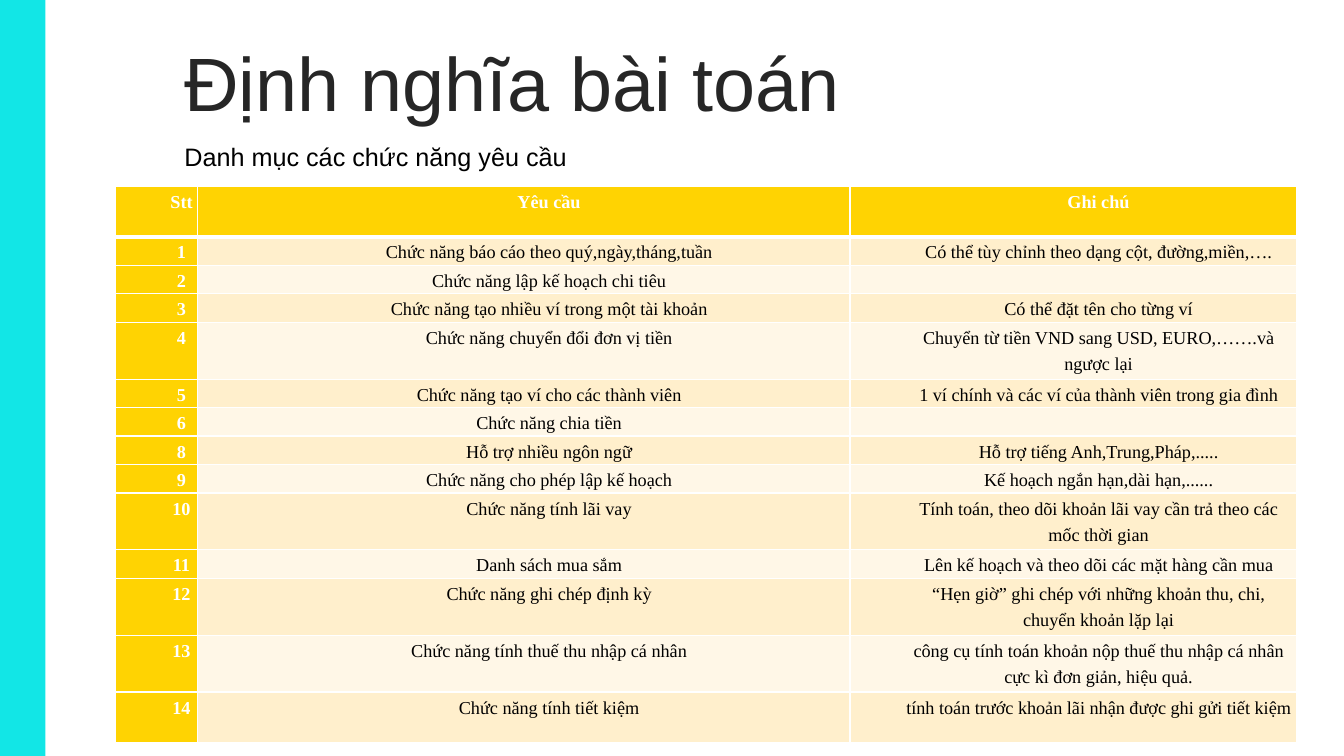
from lxml.etree import SubElement
from pptx import Presentation
from pptx.dml.color import RGBColor
from pptx.enum.shapes import MSO_SHAPE as SHAPE
from pptx.enum.text import MSO_ANCHOR as ANCHOR, PP_ALIGN as ALIGN
from pptx.oxml.ns import qn
from pptx.util import Inches, Pt

TITLE = "Định nghĩa bài toán"
SUBTITLE = "Danh mục các chức năng yêu cầu"
HEADER = ("Stt", "Yêu cầu", "Ghi chú")
# Number, requirement, note, row height
REQUIREMENTS = [
    ("1", "Chức năng báo cáo theo quý,ngày,tháng,tuần",
     "Có thể tùy chỉnh theo dạng cột, đường,miền,….", 0.26),
    ("2", "Chức năng lập kế hoạch chi tiêu", "", 0.26),
    ("3", "Chức năng tạo nhiều ví trong một tài khoản", "Có thể đặt tên cho từng ví", 0.26),
    ("4", "Chức năng chuyển đổi đơn vị tiền",
     "Chuyển từ tiền VND sang USD, EURO,…….và ngược lại", 0.55),
    ("5", "Chức năng tạo ví cho các thành viên",
     "1 ví chính và các ví của thành viên trong gia đình", 0.26),
    ("6", "Chức năng chia tiền", "", 0.26),
    ("8", "Hỗ trợ nhiều ngôn ngữ", "Hỗ trợ tiếng Anh,Trung,Pháp,.....", 0.26),
    ("9", "Chức năng cho phép lập kế hoạch", "Kế hoạch ngắn hạn,dài hạn,......", 0.26),
    ("10", "Chức năng tính lãi vay",
     "Tính toán, theo dõi khoản lãi vay cần trả theo các mốc thời gian", 0.55),
    ("11", "Danh sách mua sắm", "Lên kế hoạch và theo dõi các mặt hàng cần mua", 0.26),
    ("12", "Chức năng ghi chép định kỳ",
     "“Hẹn giờ” ghi chép với những khoản thu, chi, chuyển khoản lặp lại", 0.55),
    ("13", "Chức năng tính thuế thu nhập cá nhân",
     "công cụ tính toán khoản nộp thuế thu nhập cá nhân cực kì đơn giản, hiệu quả.", 0.55),
    ("14", "Chức năng tính tiết kiệm",
     "tính toán trước khoản lãi nhận được ghi gửi tiết kiệm", 0.5),
]
ROWS = [(*HEADER, 0.5)] + REQUIREMENTS
COL_WIDTHS = (0.82, 6.47, 4.43)
COLORS = {"bar": "12E6E6", "title": "262626", "text": "000000", "white": "FFFFFF",
          "gold": "FFD302", "odd": "FFEFCC", "even": "FFF7E7"}


def rgb(name):
    return RGBColor.from_string(COLORS[name])


def add_run(p, text, size, font, color, bold=False):
    r = p.add_run()
    r.text = text
    r.font.size, r.font.name, r.font.bold = Pt(size), font, bold
    r.font.color.rgb = rgb(color)


def add_text(slide, box, text, size, color, wrap):
    tf = slide.shapes.add_textbox(*map(Inches, box)).text_frame
    tf.word_wrap = wrap
    add_run(tf.paragraphs[0], text, size, "Arial", color)
    return tf


def set_borders(cell, widths):
    tc_pr = cell._tc.get_or_add_tcPr()
    for side, width in widths.items():
        ln = SubElement(tc_pr, qn(f"a:ln{side}"), w=str(Pt(width)))
        fill = SubElement(ln, qn("a:solidFill"))
        SubElement(fill, qn("a:srgbClr"), val=COLORS["white"])


def fill_cell(cell, text, row, col):
    key = row == 0 or col == 0
    set_borders(cell, {"L": 1, "R": 1, "T": 3 if row == 1 else 1, "B": 3 if row == 0 else 1})
    cell.fill.solid()
    cell.fill.fore_color.rgb = rgb("gold" if key else "odd" if row % 2 else "even")
    cell.margin_left = cell.margin_right = Inches(0.04)
    cell.margin_top = cell.margin_bottom = 0
    p = cell.text_frame.paragraphs[0]
    p.alignment, p.line_spacing = ALIGN.CENTER, 1.3
    p_pr = p._p.get_or_add_pPr()
    p_pr.set("marL", str(Inches(0.5)))
    p_pr.set("indent", "0")
    if text:
        add_run(p, text, 13, "Times New Roman", "white" if key else "text", key)
    else:
        # Keeps an empty cell from stretching its row
        SubElement(p._p, qn("a:endParaRPr"), sz="1300")


prs = Presentation()
prs.slide_width, prs.slide_height = Inches(13.33), Inches(7.5)
slide = prs.slides.add_slide(prs.slide_layouts[6])

# Side bar
bar = slide.shapes.add_shape(SHAPE.RECTANGLE, 0, 0, Inches(0.45), prs.slide_height)
bar.shadow.inherit = False
bar.fill.solid()
bar.fill.fore_color.rgb = rgb("bar")
bar.line.fill.background()

# Title
tf = add_text(slide, (1.73, 0.47, 11.04, 0.79), TITLE, 54, "title", True)
tf.vertical_anchor = ANCHOR.MIDDLE
tf.paragraphs[0].line_spacing = 0.9

# Requirements table
height = sum(row[-1] for row in ROWS)
table = slide.shapes.add_table(len(ROWS), len(COL_WIDTHS), Inches(1.14), Inches(1.85),
                               Inches(sum(COL_WIDTHS)), Inches(height)).table
for column, width in zip(table.columns, COL_WIDTHS):
    column.width = Inches(width)
for i, (*texts, row_height) in enumerate(ROWS):
    table.rows[i].height = Inches(row_height)
    for j, text in enumerate(texts):
        fill_cell(table.cell(i, j), text, i, j)

# Subtitle
add_text(slide, (1.73, 1.35, 4.32, 0.4), SUBTITLE, 18, "text", False)

prs.save("out.pptx")
